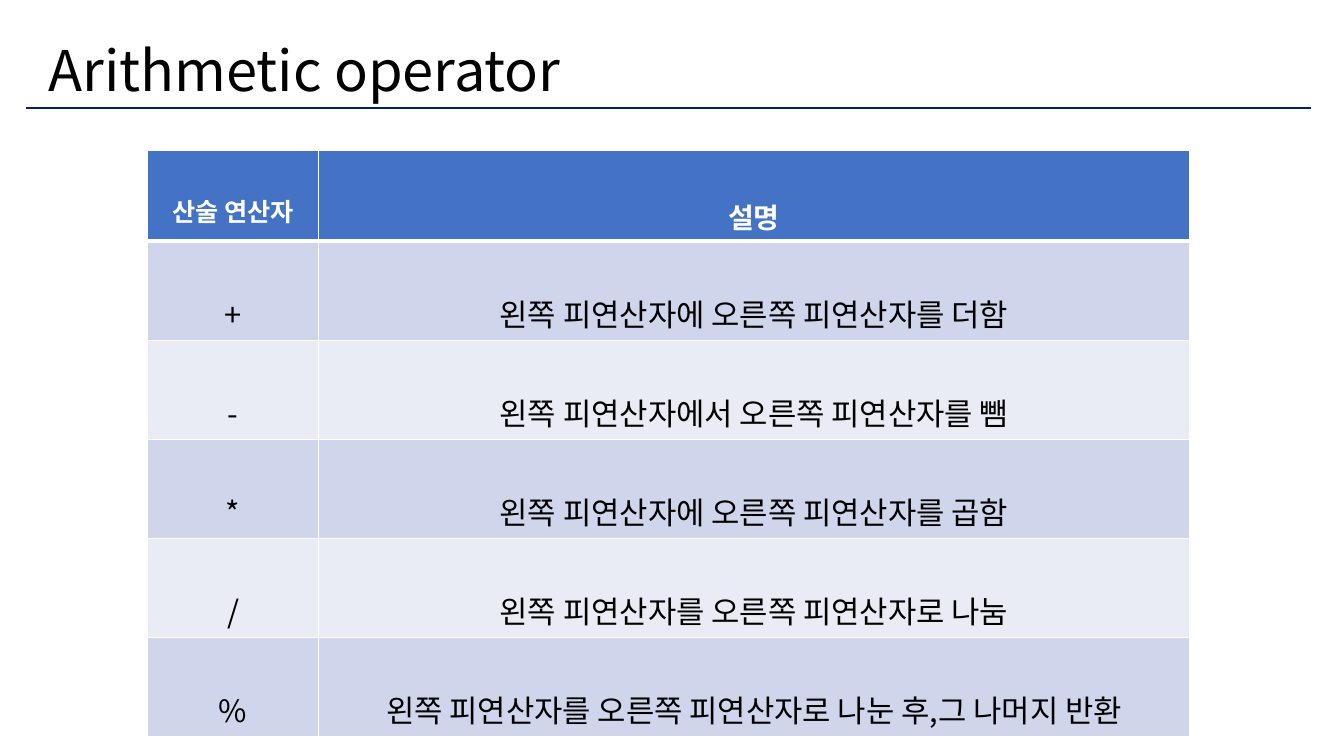
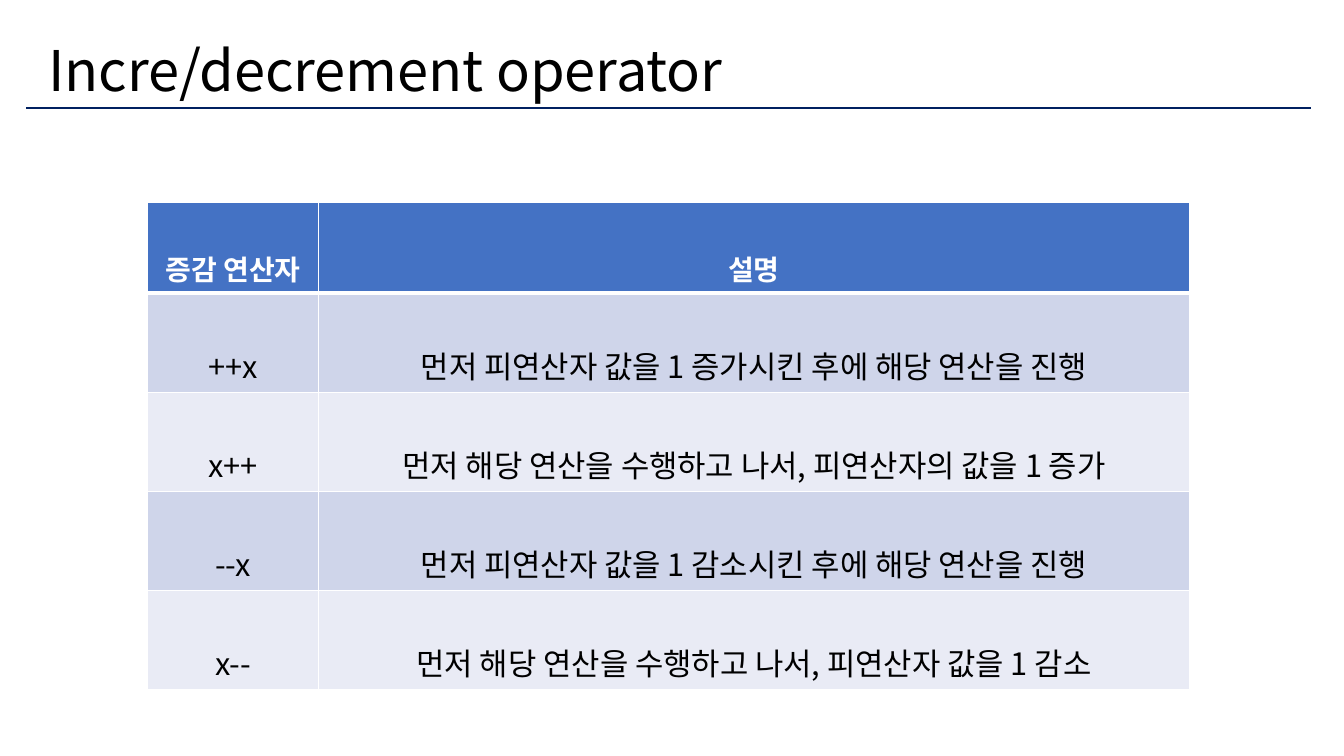
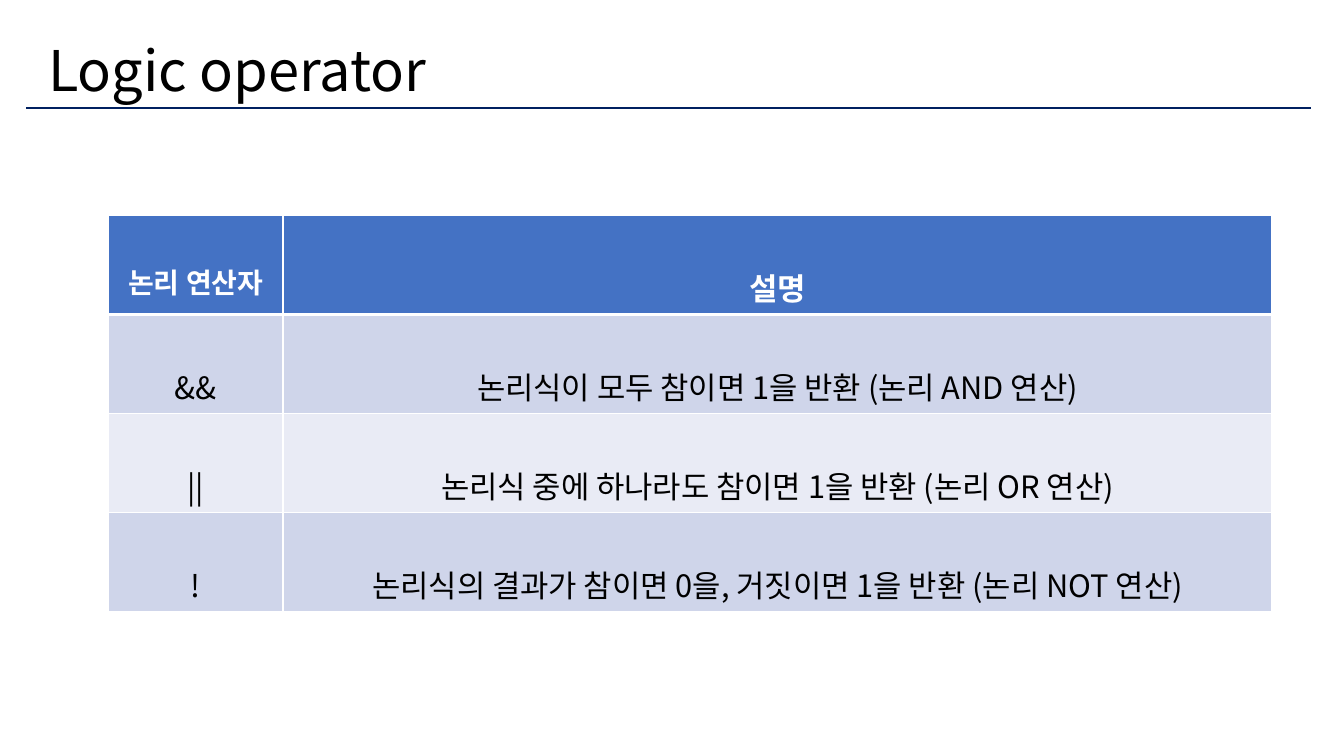
from lxml import etree
from pptx import Presentation
from pptx import util as u
from pptx.dml.color import RGBColor
from pptx.enum import shapes, text
from pptx.oxml.ns import qn

WIDTH, HEIGHT = 13.33, 7.5
FONT = "Noto Sans CJK KR"
BLACK, WHITE, NAVY = "000000", "FFFFFF", "002060"
HEADER_FILL = "4472C4"
BANDS = ("CFD5EA", "E9EBF5")
BODY_SIZE = 22

# Table lengths are percentages of the slide's width or height.
BODY_ROW = 13.1
NARROW = dict(left=11, columns=(12.7, 64.8), header_row=12)
WIDE = dict(left=8.1, columns=(12.95, 73.6), header_row=13.1)

SLIDES = [
    dict(title="Arithmetic operator", top=19.9, grid=NARROW,
         headings=(("산술 연산자", 18), ("설명", 20)),
         operators=[
             ("+", "왼쪽 피연산자에 오른쪽 피연산자를 더함"),
             ("-", "왼쪽 피연산자에서 오른쪽 피연산자를 뺌"),
             ("*", "왼쪽 피연산자에 오른쪽 피연산자를 곱함"),
             ("/", "왼쪽 피연산자를 오른쪽 피연산자로 나눔"),
             ("%", "왼쪽 피연산자를 오른쪽 피연산자로 나눈 후,그 나머지 반환"),
         ]),
    dict(title="Incre/decrement operator", top=26.8, grid=NARROW,
         headings=(("증감 연산자", 20), ("설명", 20)),
         operators=[
             ("++x", "먼저 피연산자 값을 1 증가시킨 후에 해당 연산을 진행"),
             ("x++", "먼저 해당 연산을 수행하고 나서, 피연산자의 값을 1 증가"),
             ("--x", "먼저 피연산자 값을 1 감소시킨 후에 해당 연산을 진행"),
             ("x--", "먼저 해당 연산을 수행하고 나서, 피연산자 값을 1 감소"),
         ]),
    dict(title="Logic operator", top=28.5, grid=WIDE,
         headings=(("논리 연산자", 20), ("설명", 22)),
         operators=[
             ("&&", "논리식이 모두 참이면 1을 반환 (논리 AND 연산)"),
             ("||", "논리식 중에 하나라도 참이면 1을 반환 (논리 OR 연산)"),
             ("!", "논리식의 결과가 참이면 0을, 거짓이면 1을 반환 (논리 NOT 연산)"),
         ]),
]


def color(value):
    return RGBColor.from_string(value)


def across(percent):
    return u.Inches(WIDTH * percent / 100)


def down(percent):
    return u.Inches(HEIGHT * percent / 100)


def write(frame, words, size, ink, bold=False, **paragraph_format):
    """Put unkerned words into the first paragraph of a text frame."""
    paragraph = frame.paragraphs[0]
    for key, value in paragraph_format.items():
        setattr(paragraph, key, value)
    run = paragraph.add_run()
    run.text = words
    for key, value in dict(size=u.Pt(size), name=FONT, bold=bold).items():
        setattr(run.font, key, value)
    run.font.color.rgb = color(ink)
    properties = run.font._element
    properties.set("kern", "0")
    etree.SubElement(properties, qn("a:ea"), typeface=FONT)


def add_title(slide, words):
    box = slide.shapes.add_textbox(across(1.95), 0, across(97.1), down(19.3))
    frame = box.text_frame
    settings = dict(word_wrap=True, margin_left=u.Inches(0.22),
                    vertical_anchor=text.MSO_ANCHOR.MIDDLE)
    for key, value in settings.items():
        setattr(frame, key, value)
    write(frame, words, 40, BLACK, line_spacing=0.9)


def add_title_rule(slide):
    height = down(14.27)
    rule = slide.shapes.add_connector(
        shapes.MSO_CONNECTOR.STRAIGHT,
        across(1.95), height, across(97.55), height)
    rule.line.color.rgb = color(NAVY)
    rule.line.width = u.Pt(1.25)
    etree.SubElement(rule._element.spPr, qn("a:effectLst"))


def add_border(cell, side, points):
    properties = cell._tc.get_or_add_tcPr()
    edge = etree.SubElement(properties, qn("a:ln" + side),
                            w=str(u.Pt(points)))
    fill = etree.SubElement(edge, qn("a:solidFill"))
    etree.SubElement(fill, qn("a:srgbClr"), val=WHITE)


def fill_cell(cell, words, size, ink, background, borders, bold=False):
    for side, points in borders.items():
        add_border(cell, side, points)
    cell.fill.solid()
    cell.fill.fore_color.rgb = color(background)
    write(cell.text_frame, words, size, ink, bold,
          alignment=text.PP_ALIGN.CENTER, line_spacing=2.0)


def add_operator_table(slide, top, grid, headings, operators):
    columns = grid["columns"]
    heights = [grid["header_row"]] + [BODY_ROW] * len(operators)
    table = slide.shapes.add_table(
        len(heights), len(columns), across(grid["left"]), down(top),
        across(sum(columns)), down(sum(heights))).table
    table.horz_banding = False
    for column, share in zip(table.columns, columns):
        column.width = across(share)
    for row, share in zip(table.rows, heights):
        row.height = down(share)

    for index, (heading, size) in enumerate(headings):
        fill_cell(table.cell(0, index), heading, size, WHITE, HEADER_FILL,
                  dict(L=1, R=1, T=1, B=3), bold=True)
    for number, entry in enumerate(operators):
        top_border = 1 if number else 3
        for index, words in enumerate(entry):
            fill_cell(table.cell(number + 1, index), words, BODY_SIZE, BLACK,
                      BANDS[number % 2], dict(L=1, R=1, T=top_border, B=1))


def main():
    deck = Presentation()
    deck.slide_width, deck.slide_height = u.Inches(WIDTH), u.Inches(HEIGHT)
    blank = deck.slide_layouts[6]
    for content in SLIDES:
        slide = deck.slides.add_slide(blank)
        add_title(slide, content["title"])
        add_title_rule(slide)
        add_operator_table(slide, content["top"], content["grid"],
                           content["headings"], content["operators"])
    deck.save("out.pptx")


if __name__ == "__main__":
    main()
